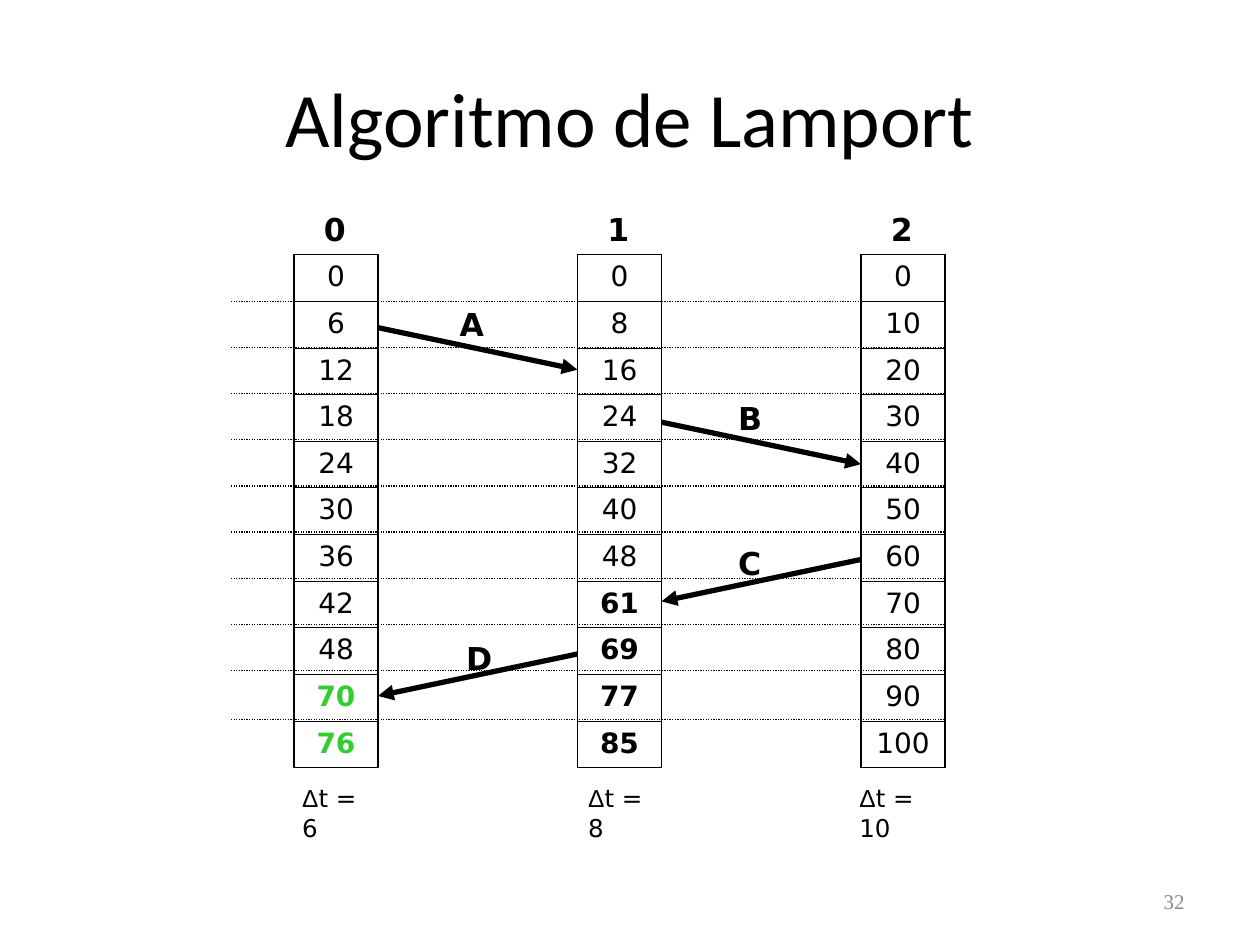
from lxml.etree import SubElement as Sub
from pptx import Presentation
from pptx.dml.color import RGBColor as Rgb
from pptx.enum.dml import MSO_LINE as Dash
from pptx.enum.shapes import MSO_CONNECTOR as Conn
from pptx.enum.text import MSO_ANCHOR as Anchor, PP_ALIGN as Align
from pptx.oxml.ns import qn
from pptx.util import Pt

INK = {"black": "000000", "green": "33CC33", "gray": "898989"}
SANS = "DejaVu Sans"
ROWS, ROW, WIDE = 11, 26.65, 48
CLOCKS = [
    (6, range(0, 54, 6), (70, 76), "green"),
    (8, range(0, 56, 8), (61, 69, 77, 85), "black"),
    (10, range(0, 110, 10), (), "black"),
]
SENDS = [
    ("A", 0, 1, 41.75, 39.6, -16.6),
    ("B", 1, 2, 95.75, 36.7, -16.6),
    ("C", 2, 1, 174.2, 36.7, -12.3),
    ("D", 1, 0, 228.2, 43.2, -12.3),
]


def write(frame, *parts, size=18, font=SANS, color="black", bold=False,
          align=Align.LEFT, anchor=None, wrap=True):
    frame.word_wrap = wrap
    if anchor is not None:
        frame.vertical_anchor = anchor
    para = frame.paragraphs[0]
    para.alignment = align
    for part in parts:
        text, face = part if isinstance(part, tuple) else (part, font)
        run = para.add_run()
        run.text = text
        run.font.size = Pt(size)
        run.font.name = face
        run.font.bold = bold
        run.font.color.rgb = Rgb.from_string(INK[color])


def label(slide, x, y, w, h, *parts, **form):
    box = slide.shapes.add_textbox(Pt(x), Pt(y), Pt(w), Pt(h))
    write(box.text_frame, *parts, **form)


def rule(slide, x, y, x2, y2, width, dash=None, head=False):
    line = slide.shapes.add_connector(Conn.STRAIGHT, Pt(x), Pt(y), Pt(x2), Pt(y2))
    line.line.width = Pt(width)
    line.line.color.rgb = Rgb.from_string(INK["black"])
    if dash is not None:
        line.line.dash_style = dash
    if head:
        Sub(line.line._get_or_add_ln(), qn("a:tailEnd"), type="triangle")
    Sub(line._element.spPr, qn("a:effectLst"))


def border(cell, **sides):
    props = cell._tc.get_or_add_tcPr()
    for side, width in sides.items():
        edge = Sub(props, qn("a:ln" + side), w=str(int(Pt(width))))
        fill = Sub(edge, qn("a:solidFill"))
        Sub(fill, qn("a:srgbClr"), val=INK["black"])


def clock(slide, x, y, plain, fixed, color):
    shape = slide.shapes.add_table(ROWS, 1, Pt(x), Pt(y), Pt(WIDE), Pt(ROWS * ROW))
    table = shape.table
    table.first_row = table.horz_banding = False
    for i, value in enumerate([*plain, *fixed]):
        table.rows[i].height = Pt(ROW)
        cell = table.cell(i, 0)
        late = i >= len(plain)
        write(cell.text_frame, str(value), size=16, bold=late,
              color=color if late else "black", align=Align.CENTER)
        border(cell, L=1.08, R=1.08, T=1.08 if i == 0 else 0.45,
               B=1.08 if i == ROWS - 1 else 0.45)
        cell.fill.background()


def diagram(slide, x, y, gap):
    lefts = [x + gap * i for i in range(len(CLOCKS))]
    for left, (step, plain, fixed, color) in zip(lefts, CLOCKS):
        clock(slide, left, y, plain, fixed, color)
    for name, start, end, top, dx, dy in SENDS:
        near, far = lefts[min(start, end)] + WIDE, lefts[max(start, end)]
        ends = (near, far) if start < end else (far, near)
        rule(slide, ends[0], y + top, ends[1], y + top + 24, 3, head=True)
        label(slide, near + dx, y + top + dy, 27, 29, name, bold=True, wrap=False)
    for i, left in enumerate(lefts):
        label(slide, left + 10, y - 29, 24.5, 29, str(i), bold=True, wrap=False)
    for drop in [26.6 + 26.4 * i for i in range(ROWS - 2)] + [265.7]:
        rule(slide, x - 36, y + drop, lefts[-1] + WIDE, y + drop, 0.75,
             dash=Dash.ROUND_DOT)
    for left, dx, wide, (step, *_) in zip(lefts, (-2.4, -1, -8), (51, 51, 59), CLOCKS):
        label(slide, left + dx, y + 298.7, wide, 24.5,
              ("Δ", "Arial"), f"t = {step}", size=14)


def heading(slide, x, y, w, h):
    title = slide.shapes.title
    title.left, title.top, title.width, title.height = map(Pt, (x, y, w, h))
    write(title.text_frame, "Algoritmo de Lamport", size=44, font="Calibri",
          align=Align.CENTER, anchor=Anchor.MIDDLE)


def main():
    deck = Presentation()
    deck.slide_width, deck.slide_height = Pt(720), Pt(540)
    slide = deck.slides.add_slide(deck.slide_layouts[5])
    heading(slide, 36, 21.6, 648, 90)
    diagram(slide, 168, 145.5, 162)
    label(slide, 516, 500.5, 168, 28.8, "32", size=12, font="Times New Roman",
          color="gray", align=Align.RIGHT, anchor=Anchor.MIDDLE)
    deck.save("out.pptx")


if __name__ == "__main__":
    main()
